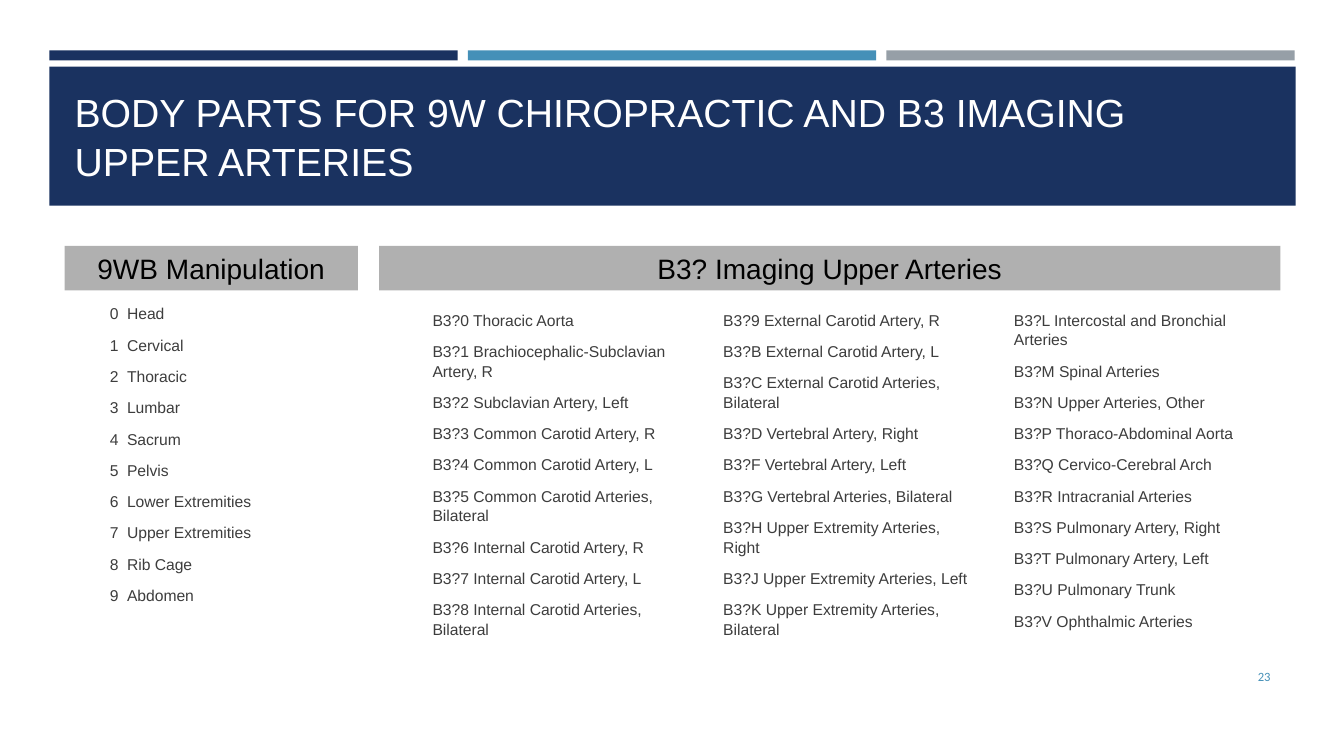
from lxml.etree import SubElement
from pptx import Presentation
from pptx.dml.color import RGBColor
from pptx.enum.shapes import MSO_SHAPE
from pptx.enum.text import MSO_ANCHOR, MSO_AUTO_SIZE, PP_ALIGN
from pptx.oxml.ns import qn
from pptx.util import Inches, Pt

NAVY = RGBColor(0x1A, 0x32, 0x60)
BLUE = RGBColor(0x45, 0x90, 0xB8)
SLATE = RGBColor(0x96, 0x9F, 0xA7)
SILVER = RGBColor(0xB0, 0xB0, 0xB0)
CHARCOAL = RGBColor(0x3D, 0x3D, 0x3D)
BLACK = RGBColor(0, 0, 0)
WHITE = RGBColor(0xFF, 0xFF, 0xFF)

TITLE = "BODY PARTS FOR 9W CHIROPRACTIC AND B3 IMAGING UPPER ARTERIES"
BODY_REGIONS = [
    "Head", "Cervical", "Thoracic", "Lumbar", "Sacrum", "Pelvis",
    "Lower Extremities", "Upper Extremities", "Rib Cage", "Abdomen",
]
ARTERIES = {
    "0": "Thoracic Aorta",
    "1": "Brachiocephalic-Subclavian Artery, R",
    "2": "Subclavian Artery, Left",
    "3": "Common Carotid Artery, R",
    "4": "Common Carotid Artery, L",
    "5": "Common Carotid Arteries, Bilateral",
    "6": "Internal Carotid Artery, R",
    "7": "Internal Carotid Artery, L",
    "8": "Internal Carotid Arteries, Bilateral",
    "9": "External Carotid Artery, R",
    "B": "External Carotid Artery, L",
    "C": "External Carotid Arteries, Bilateral",
    "D": "Vertebral Artery, Right",
    "F": "Vertebral Artery, Left",
    "G": "Vertebral Arteries, Bilateral",
    "H": "Upper Extremity Arteries, Right",
    "J": "Upper Extremity Arteries, Left",
    "K": "Upper Extremity Arteries, Bilateral",
    "L": "Intercostal and Bronchial Arteries",
    "M": "Spinal Arteries",
    "N": "Upper Arteries, Other",
    "P": "Thoraco-Abdominal Aorta",
    "Q": "Cervico-Cerebral Arch",
    "R": "Intracranial Arteries",
    "S": "Pulmonary Artery, Right",
    "T": "Pulmonary Artery, Left",
    "U": "Pulmonary Trunk",
    "V": "Ophthalmic Arteries",
}


def place(shape, left, top, width, height):
    shape.left, shape.top = Inches(left), Inches(top)
    shape.width, shape.height = Inches(width), Inches(height)


def write(shape, lines, size, color, font="Arial", align=PP_ALIGN.LEFT,
          anchor=MSO_ANCHOR.MIDDLE, level=0, spacing=1.0, before=0, after=0):
    """Fill a shape with one paragraph per line, all in the same format."""
    frame = shape.text_frame
    frame.word_wrap = True
    frame.auto_size = MSO_AUTO_SIZE.NONE
    frame.vertical_anchor = anchor
    frame.text = "\n".join(lines)
    for paragraph in frame.paragraphs:
        paragraph.level = level
        paragraph.alignment = align
        paragraph.line_spacing = spacing
        paragraph.space_before, paragraph.space_after = Pt(before), Pt(after)
        for run in paragraph.runs:
            run.font.size = Pt(size)
            run.font.name = font
            run.font.color.rgb = color


def add_bar(slide, left, top, width, height, fill):
    bar = slide.shapes.add_shape(MSO_SHAPE.RECTANGLE, Inches(left), Inches(top),
                                 Inches(width), Inches(height))
    bar.shadow.inherit = False
    bar.fill.solid()
    bar.fill.fore_color.rgb = fill
    bar.line.fill.background()
    return bar


def add_heading(slide, text, left, width):
    heading = add_bar(slide, left, 2.44, width, 0.44, SILVER)
    write(heading, [text], 20, BLACK, align=PP_ALIGN.CENTER)


def fill_code_list(placeholder, lines, hanging=0.0, columns=1):
    """Write an unbulleted list, with an optional hanging indent and columns."""
    write(placeholder, lines, 11.2, CHARCOAL, anchor=MSO_ANCHOR.TOP,
          level=1, spacing=1.05, before=2.24, after=6)
    body = placeholder.text_frame
    for paragraph in body.paragraphs:
        properties = paragraph._p.get_or_add_pPr()
        properties.set("marL", str(Inches(0.35 + hanging)))
        properties.set("indent", str(Inches(-hanging)))
        SubElement(properties, qn("a:buNone"))
    if columns > 1:
        body_properties = placeholder.element.txBody.find(qn("a:bodyPr"))
        body_properties.set("numCol", str(columns))
        body_properties.set("spcCol", "0")


def add_banner(slide, title):
    """Put the three accent bars and the title band behind the title."""
    bars = [add_bar(slide, 0.49 + i * 4.15, 0.5, 4.05, 0.1, color)
            for i, color in enumerate((NAVY, BLUE, SLATE))]
    band = add_bar(slide, 0.49, 0.66, 12.36, 1.38, NAVY)
    for part in bars + [band]:
        title.element.addprevious(part.element)


def main():
    presentation = Presentation()
    presentation.slide_width = Inches(13.33)
    presentation.slide_height = Inches(7.5)
    slide = presentation.slides.add_slide(presentation.slide_layouts[3])
    title, regions, arteries = slide.placeholders

    add_banner(slide, title)
    place(title, 0.64, 0.8, 12.06, 1.08)
    write(title, [TITLE], 28, WHITE, anchor=MSO_ANCHOR.BOTTOM, spacing=1.05)

    place(regions, 0.64, 2.96, 2.91, 3.45)
    fill_code_list(regions, [f"{code}\t{region}" for code, region
                             in enumerate(BODY_REGIONS)], hanging=0.17)
    place(arteries, 3.84, 3.02, 8.85, 3.45)
    fill_code_list(arteries, [f"B3?{code} {artery}" for code, artery
                              in ARTERIES.items()], columns=3)

    add_heading(slide, "9WB Manipulation", 0.64, 2.91)
    add_heading(slide, "B3? Imaging Upper Arteries", 3.76, 8.94)

    page_number = slide.shapes.add_textbox(Inches(11.55), Inches(6.51),
                                           Inches(1.15), Inches(0.4))
    write(page_number, ["23"], 9, BLUE, font="Calibri", align=PP_ALIGN.RIGHT)

    presentation.save("out.pptx")


if __name__ == "__main__":
    main()
